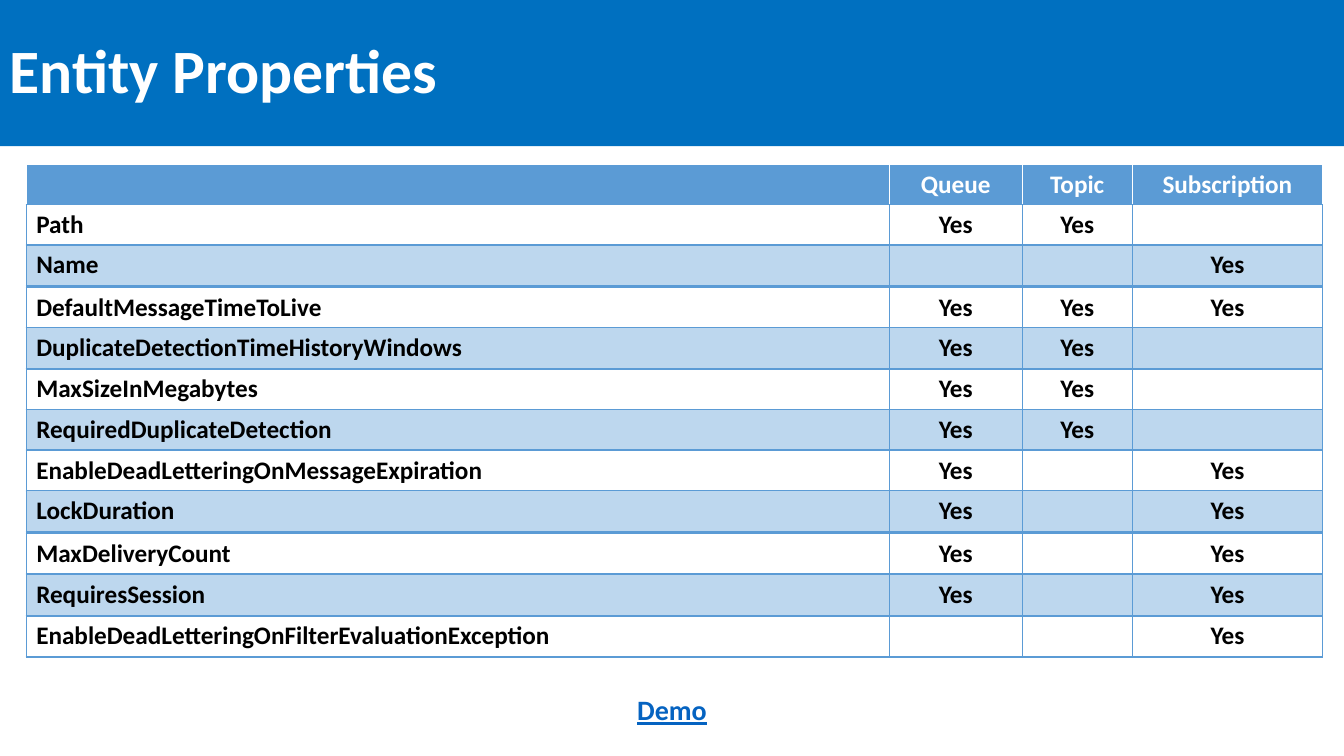
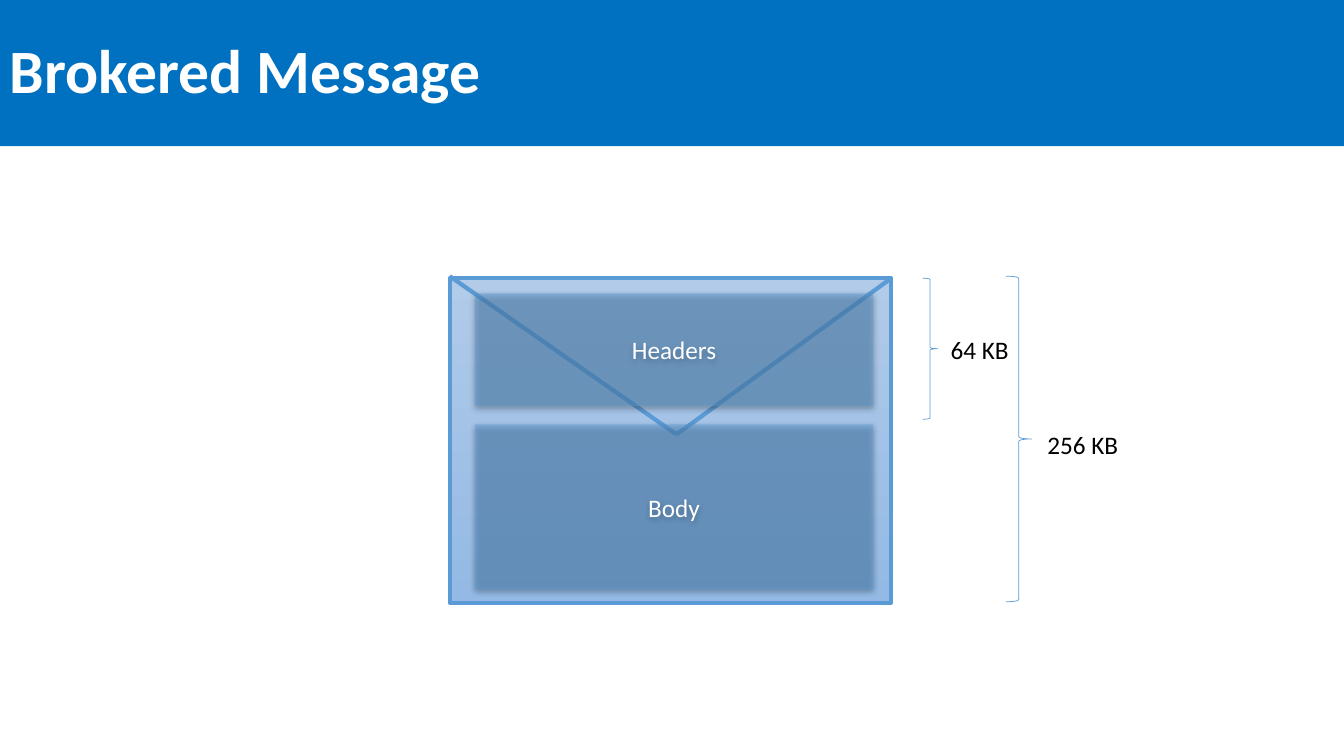
"""Build two slides on messaging entities: property tables and a message diagram."""
from dataclasses import dataclass
from typing import NamedTuple

from lxml.etree import SubElement
from pptx import Presentation
from pptx.dml.color import RGBColor as Rgb
from pptx.enum.shapes import MSO_CONNECTOR as Connector, MSO_SHAPE as Preset
from pptx.enum.text import MSO_ANCHOR as Anchor, MSO_AUTO_SIZE as AutoSize, PP_ALIGN as Align
from pptx.oxml.ns import qn
from pptx.util import Inches, Pt


@dataclass(frozen=True)
class Theme:
    font: str = "Calibri"
    title_size: float = 44
    link_size: float = 20
    body_size: float = 18
    band: str = "0070C0"
    accent: str = "5B9BD5"
    stripe: str = "BDD7EE"
    link: str = "0563C1"
    light: str = "FFFFFF"
    dark: str = "000000"
    envelope_top: str = "B1CBE9"
    envelope_bottom: str = "93B9E4"


THEME = Theme()


class Area(NamedTuple):
    left: float
    top: float
    width: float
    height: float

    def lengths(self) -> list:
        return [Inches(value) for value in self]


class Style(NamedTuple):
    size: float = THEME.body_size
    color: str = THEME.dark
    bold: bool = False
    underline: bool = False


class Border(NamedTuple):
    color: str
    bottom: float
    side: float = 1


class Entity(NamedTuple):
    top: float
    name: str
    owners: str
    fill: str = ""


class Part(NamedTuple):
    label: str
    area: Area


class SizeLimit(NamedTuple):
    label: str
    brace: Area
    text: Area


BODY = Style()
BODY_BOLD = Style(bold=True)
HEADER = Style(color=THEME.light, bold=True)
TITLE = Style(THEME.title_size, THEME.light, bold=True)
LINK = Style(THEME.link_size, THEME.link, bold=True, underline=True)
PART = Style(color=THEME.light)
HEADER_BORDER = Border(THEME.light, 3)
BODY_BORDER = Border(THEME.accent, 2)

SLIDE_WIDTH, SLIDE_HEIGHT = 13.33, 7.5
TITLE_BAND = Area(0, 0, SLIDE_WIDTH, 1.45)
TABLE_LEFT, TABLE_TOP, ROW_HEIGHT = 0.26, 1.63, 0.41
COLUMN_WIDTHS = (8.56, 1.32, 1.09, 1.89)
OWNERS = ("Queue", "Topic", "Subscription")
ENTITIES = (
    Entity(2.03, "Path", "Queue Topic"),
    Entity(2.43, "Name", "Subscription", THEME.stripe),
    Entity(2.85, "DefaultMessageTimeToLive", "Queue Topic Subscription", THEME.light),
    Entity(3.25, "DuplicateDetectionTimeHistoryWindows", "Queue Topic", THEME.stripe),
    Entity(3.66, "MaxSizeInMegabytes", "Queue Topic", THEME.light),
    Entity(4.06, "RequiredDuplicateDetection", "Queue Topic", THEME.stripe),
    Entity(4.47, "EnableDeadLetteringOnMessageExpiration", "Queue Subscription", THEME.light),
    Entity(4.87, "LockDuration", "Queue Subscription", THEME.stripe),
    Entity(5.29, "MaxDeliveryCount", "Queue Subscription"),
    Entity(5.7, "RequiresSession", "Queue Subscription", THEME.stripe),
    Entity(6.11, "EnableDeadLetteringOnFilterEvaluationException", "Subscription"),
)

ENVELOPE = Area(4.46, 2.76, 4.38, 3.22)
FLAP = ((4.46, 2.74), (6.71, 4.31), (8.84, 2.76))
PARTS = (
    Part("Headers", Area(4.71, 2.91, 3.95, 1.12)),
    Part("Body", Area(4.71, 4.21, 3.95, 1.64)),
)
LIMITS = (
    SizeLimit("256 KB", Area(9.98, 2.74, 0.25, 3.23), Area(10.29, 4.21, 0.96, 0.4)),
    SizeLimit("64 KB", Area(9.15, 2.76, 0.15, 1.4), Area(9.33, 3.27, 0.96, 0.4)),
)


def write(frame, text: str, style: Style, align=Align.LEFT):
    """Put one styled run in the first paragraph and return the paragraph."""
    para = frame.paragraphs[0]
    para.alignment = align
    span = para.add_run()
    span.text = text
    span.font.name = THEME.font
    span.font.size = Pt(style.size)
    span.font.bold = style.bold
    span.font.underline = style.underline
    span.font.color.rgb = Rgb.from_string(style.color)
    return para


def set_line(line, width: float) -> None:
    """Give a line the accent colour and a width in points."""
    line.color.rgb = Rgb.from_string(THEME.accent)
    line.width = Pt(width)


def set_fill(fill, color: str) -> None:
    """Fill with a colour, or leave empty if none is given."""
    if color:
        fill.solid()
        fill.fore_color.rgb = Rgb.from_string(color)
    else:
        fill.background()


def add_box(page, area: Area, fill: str = "", preset=Preset.RECTANGLE):
    """Add a shape without shadow or line."""
    box = page.shapes.add_shape(preset, *area.lengths())
    box.shadow.inherit = False
    box.line.fill.background()
    set_fill(box.fill, fill)
    return box


def add_label(page, area: Area, text: str, style: Style, align=Align.LEFT) -> None:
    """Add a text box that fits its text."""
    box = page.shapes.add_textbox(*area.lengths())
    box.text_frame.word_wrap = True
    box.text_frame.auto_size = AutoSize.SHAPE_TO_FIT_TEXT
    write(box.text_frame, text, style, align)


def add_page(deck, title: str):
    """Add a blank slide with the title band."""
    page = deck.slides.add_slide(deck.slide_layouts[6])
    band = add_box(page, TITLE_BAND, THEME.band)
    band.text_frame.word_wrap = True
    band.text_frame.vertical_anchor = Anchor.MIDDLE
    write(band.text_frame, title, TITLE).line_spacing = 0.9
    return page


def set_borders(cell, border: Border) -> None:
    """Draw the four cell borders."""
    properties = cell._tc.get_or_add_tcPr()
    for index, side in enumerate("LRTB"):
        width = border.bottom if side == "B" else border.side
        line = SubElement(properties, qn(f"a:ln{side}"), w=str(Pt(width)))
        fill = SubElement(line, qn("a:solidFill"))
        SubElement(fill, qn("a:srgbClr"), val=border.color)
        properties.insert(index, line)


def add_row_table(page, top: float, texts: tuple, style: Style, fill: str, border: Border) -> None:
    """Add a one-row table, centring all but the first cell."""
    area = Area(TABLE_LEFT, top, sum(COLUMN_WIDTHS), ROW_HEIGHT)
    table = page.shapes.add_table(1, len(COLUMN_WIDTHS), *area.lengths()).table
    table.first_row = table.horz_banding = False
    for column, width in zip(table.columns, COLUMN_WIDTHS):
        column.width = Inches(width)
    for index, (cell, text) in enumerate(zip(table.rows[0].cells, texts)):
        set_fill(cell.fill, fill)
        set_borders(cell, border)
        if text:
            write(cell.text_frame, text, style, Align.CENTER if index else Align.LEFT)


def add_property_tables(page) -> None:
    """Stack the header and one row for each property."""
    add_row_table(page, TABLE_TOP, ("", *OWNERS), HEADER, THEME.accent, HEADER_BORDER)
    for entity in ENTITIES:
        marks = ("Yes" if owner in entity.owners.split() else "" for owner in OWNERS)
        texts = (entity.name, *marks)
        add_row_table(page, entity.top, texts, BODY_BOLD, entity.fill, BODY_BORDER)


def add_envelope(page) -> None:
    """Add the envelope with its two flap edges."""
    box = add_box(page, ENVELOPE)
    box.fill.gradient()
    box.fill.gradient_angle = 270
    for stop, color in zip(box.fill.gradient_stops, (THEME.envelope_top, THEME.envelope_bottom)):
        stop.color.rgb = Rgb.from_string(color)
    set_line(box.line, 3)
    for start, end in zip(FLAP, FLAP[1:]):
        points = [Inches(value) for value in (*start, *end)]
        edge = page.shapes.add_connector(Connector.STRAIGHT, *points)
        set_line(edge.line, 3)
        SubElement(edge.element.spPr, qn("a:effectLst"))


def add_part(page, part: Part) -> None:
    """Add a translucent message part with a soft shadow."""
    box = add_box(page, part.area, THEME.accent)
    box.text_frame.vertical_anchor = Anchor.MIDDLE
    write(box.text_frame, part.label, PART, Align.CENTER)
    properties = box.element.spPr
    color = properties.find(qn("a:solidFill")).find(qn("a:srgbClr"))
    SubElement(color, qn("a:alpha"), val="46000")
    shadow = SubElement(
        properties.find(qn("a:effectLst")), qn("a:outerShdw"), blurRad=str(Pt(4.5)),
        dist=str(Pt(1.5)), dir="5400000", algn="ctr", rotWithShape="0",
    )
    shade = SubElement(shadow, qn("a:srgbClr"), val=THEME.dark)
    SubElement(shade, qn("a:alpha"), val="63000")


def add_limit(page, limit: SizeLimit) -> None:
    """Add a brace with its size label."""
    brace = add_box(page, limit.brace, preset=Preset.RIGHT_BRACE)
    set_line(brace.line, 0.5)
    add_label(page, limit.text, limit.label, BODY)


def main() -> None:
    """Build and save the deck."""
    deck = Presentation()
    deck.slide_width, deck.slide_height = Inches(SLIDE_WIDTH), Inches(SLIDE_HEIGHT)

    properties_page = add_page(deck, "Entity Properties")
    add_property_tables(properties_page)
    add_label(properties_page, Area(6.2, 6.82, 0.93, 0.44), "Demo", LINK, Align.CENTER)

    message_page = add_page(deck, "Brokered Message")
    add_envelope(message_page)
    for part in PARTS:
        add_part(message_page, part)
    for limit in LIMITS:
        add_limit(message_page, limit)

    deck.save("out.pptx")


if __name__ == "__main__":
    main()
